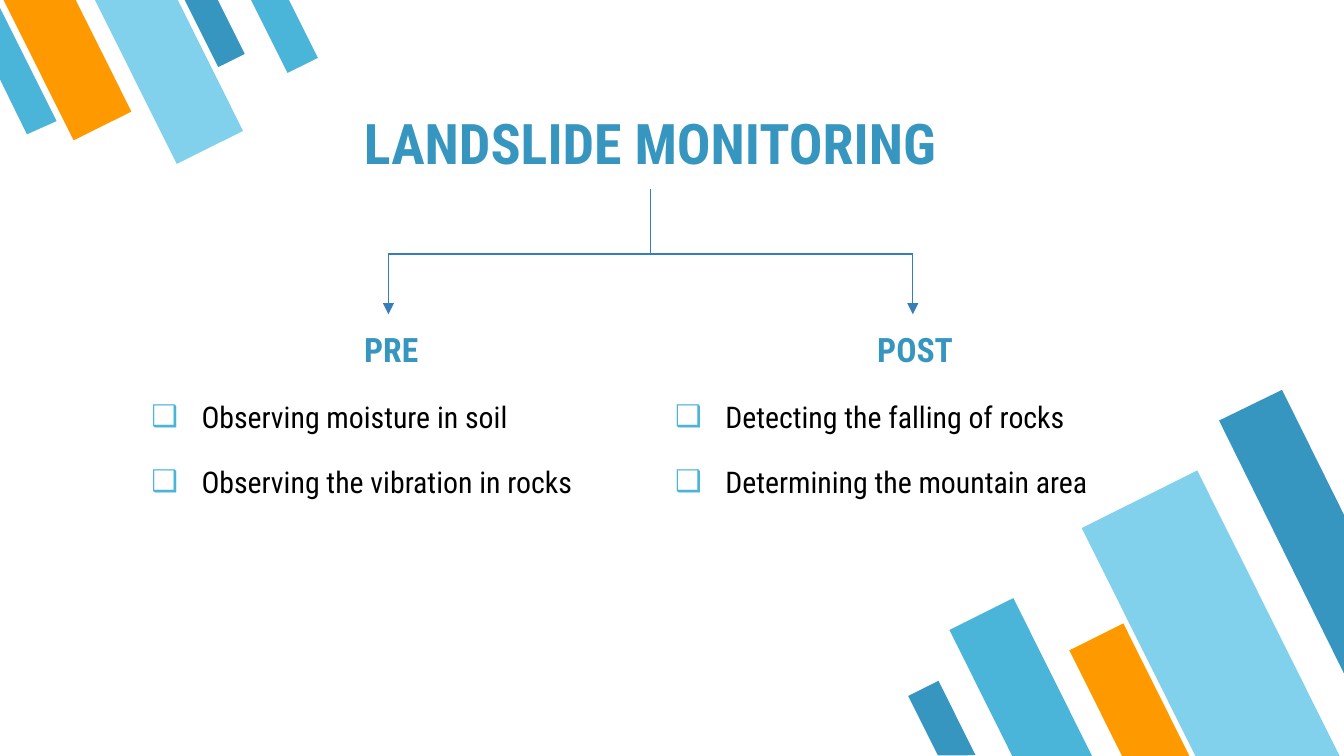
from typing import NamedTuple

from lxml.etree import SubElement
from pptx import Presentation
from pptx.dml.color import RGBColor
from pptx.enum.shapes import MSO_CONNECTOR as Connector, MSO_SHAPE as Preset
from pptx.enum.text import MSO_ANCHOR as Anchor, PP_ALIGN as Align
from pptx.oxml.ns import qn
from pptx.util import Cm, Pt

FONT = "Roboto Condensed"
WHITE, BLACK, ORANGE = "FFFFFF", "000000", "FF9900"
DEEP, MID, PALE, LINE = "3796BF", "4BB5D9", "81D1EC", "367EB9"
RISING, HANGING = 153.5, 333.5


class Bar(NamedTuple):
    left: float
    top: float
    width: float
    height: float
    color: str
    rotation: float


class CutBar(NamedTuple):
    """A bar cropped by the slide's side, given by its corners."""
    corners: list[tuple[float, float]]
    color: str


class Link(NamedTuple):
    start: tuple[float, float]
    end: tuple[float, float]
    arrow: bool = False


class Phase(NamedTuple):
    left: float
    heading: str
    tasks: list[str]


BARS = [
    Bar(18.62, 11.43, 1.35, 3.35, MID, RISING),
    Bar(21.67, 9.12, 2.44, 6.07, PALE, RISING),
    Bar(20.78, 11.89, 1.14, 2.82, ORANGE, RISING),
    Bar(17.48, 12.93, 0.64, 1.57, DEEP, RISING),
    Bar(3.78, -0.2, 0.56, 1.42, DEEP, HANGING),
    Bar(0.66, -0.46, 1.22, 3, ORANGE, HANGING),
    Bar(2.49, -0.51, 1.4, 3.48, PALE, HANGING),
    Bar(5.05, -0.25, 0.64, 1.57, MID, HANGING),
]
CUT_BARS = [
    CutBar([(24.23, 7.37), (23.04, 7.95), (25.4, 12.73), (25.4, 9.73)], DEEP),
    CutBar([(0.51, 2.54), (1.07, 2.29), (0, 0.15), (0, 1.5)], MID),
]
TRUNK_X, PRE_X, POST_X = 12.29, 7.34, 17.25
TRUNK_Y, FORK_Y, TIP_Y = 3.58, 4.8, 5.94
LINKS = [
    Link((TRUNK_X, TRUNK_Y), (TRUNK_X, FORK_Y)),
    Link((PRE_X, FORK_Y), (POST_X, FORK_Y)),
    Link((PRE_X, FORK_Y), (PRE_X, TIP_Y), arrow=True),
    Link((POST_X, FORK_Y), (POST_X, TIP_Y), arrow=True),
]
PHASES = [
    Phase(2.29, "PRE", ["Observing moisture in soil", "Observing the vibration in rocks"]),
    Phase(12.19, "POST", ["Detecting the falling of rocks", "Determining the mountain area"]),
]
HEADING = {"alignment": Align.CENTER, "line_spacing": 1.5}
TASK = {"line_spacing": 1.5, "space_before": Pt(6)}


def rgb(color: str) -> RGBColor:
    return RGBColor.from_string(color)


def apply(target, values: dict) -> None:
    for name, value in values.items():
        setattr(target, name, value)


def paint(shape, color: str) -> None:
    shape.shadow.inherit = False
    shape.fill.solid()
    shape.fill.fore_color.rgb = rgb(color)
    shape.line.fill.background()


def draw_bar(slide, bar: Bar) -> None:
    shape = slide.shapes.add_shape(
        Preset.FLOWCHART_MANUAL_INPUT,
        Cm(bar.left), Cm(bar.top), Cm(bar.width), Cm(bar.height))
    shape.rotation = bar.rotation
    shape._element.spPr.find(qn("a:xfrm")).set("flipH", "1")
    paint(shape, bar.color)


def draw_cut_bar(slide, bar: CutBar) -> None:
    first, *others = [(Cm(x), Cm(y)) for x, y in bar.corners]
    outline = slide.shapes.build_freeform(*first)
    outline.add_line_segments(others, close=True)
    paint(outline.convert_to_shape(), bar.color)


def draw_link(slide, link: Link) -> None:
    connector = slide.shapes.add_connector(
        Connector.STRAIGHT, *map(Cm, link.start + link.end))
    connector.line.color.rgb = rgb(LINE)
    connector.line.width = Pt(0.75)
    if link.arrow:
        SubElement(connector.line._ln, qn("a:tailEnd"), type="triangle")
    SubElement(connector._element.spPr, qn("a:effectLst"))


def add_text_frame(slide, left: float, top: float, width: float, height: float,
                   anchor: Anchor = Anchor.TOP):
    frame = slide.shapes.add_textbox(Cm(left), Cm(top), Cm(width), Cm(height)).text_frame
    sides = ("left", "top", "right", "bottom")
    apply(frame, {"word_wrap": True, "vertical_anchor": anchor}
          | {f"margin_{side}": Cm(0.25) for side in sides})
    return frame


def indent(paragraph, margin: float, first_line: float = 0) -> None:
    properties = paragraph._p.get_or_add_pPr()
    properties.set("marL", str(Cm(margin)))
    properties.set("indent", str(Cm(first_line)))


def add_bullet(paragraph) -> None:
    properties = paragraph._p.get_or_add_pPr()
    bullet_color = SubElement(properties, qn("a:buClr"))
    SubElement(bullet_color, qn("a:srgbClr"), val=MID)
    SubElement(properties, qn("a:buFont"), typeface=FONT)
    SubElement(properties, qn("a:buChar"), char="❑")


def write(paragraph, text: str, size: int, color: str, bold: bool, layout: dict) -> None:
    apply(paragraph, layout)
    run = paragraph.add_run()
    run.text = text
    apply(run.font, {"name": FONT, "size": Pt(size), "bold": bold})
    run.font.color.rgb = rgb(color)


def draw_phase(slide, phase: Phase) -> None:
    frame = add_text_frame(slide, phase.left, 5.59, 9.91, 8.51)
    heading = frame.paragraphs[0]
    indent(heading, 0.3)
    write(heading, phase.heading, 18, DEEP, True, HEADING)
    for task in phase.tasks:
        entry = frame.add_paragraph()
        indent(entry, 1.27, -0.95)
        add_bullet(entry)
        write(entry, task, 16, BLACK, False, TASK)


def main() -> None:
    deck = Presentation()
    apply(deck, {"slide_width": Cm(25.4), "slide_height": Cm(14.29)})
    slide = deck.slides.add_slide(deck.slide_layouts[6])
    slide.background.fill.solid()
    slide.background.fill.fore_color.rgb = rgb(WHITE)

    for bar in BARS:
        draw_bar(slide, bar)
    for cut_bar in CUT_BARS:
        draw_cut_bar(slide, cut_bar)
    title = add_text_frame(slide, 4.29, 1.7, 16, 1.88, Anchor.BOTTOM)
    write(title.paragraphs[0], "LANDSLIDE MONITORING", 30, DEEP, True,
          {"alignment": Align.CENTER})
    for link in LINKS:
        draw_link(slide, link)
    for phase in PHASES:
        draw_phase(slide, phase)
    deck.save("out.pptx")


if __name__ == "__main__":
    main()
